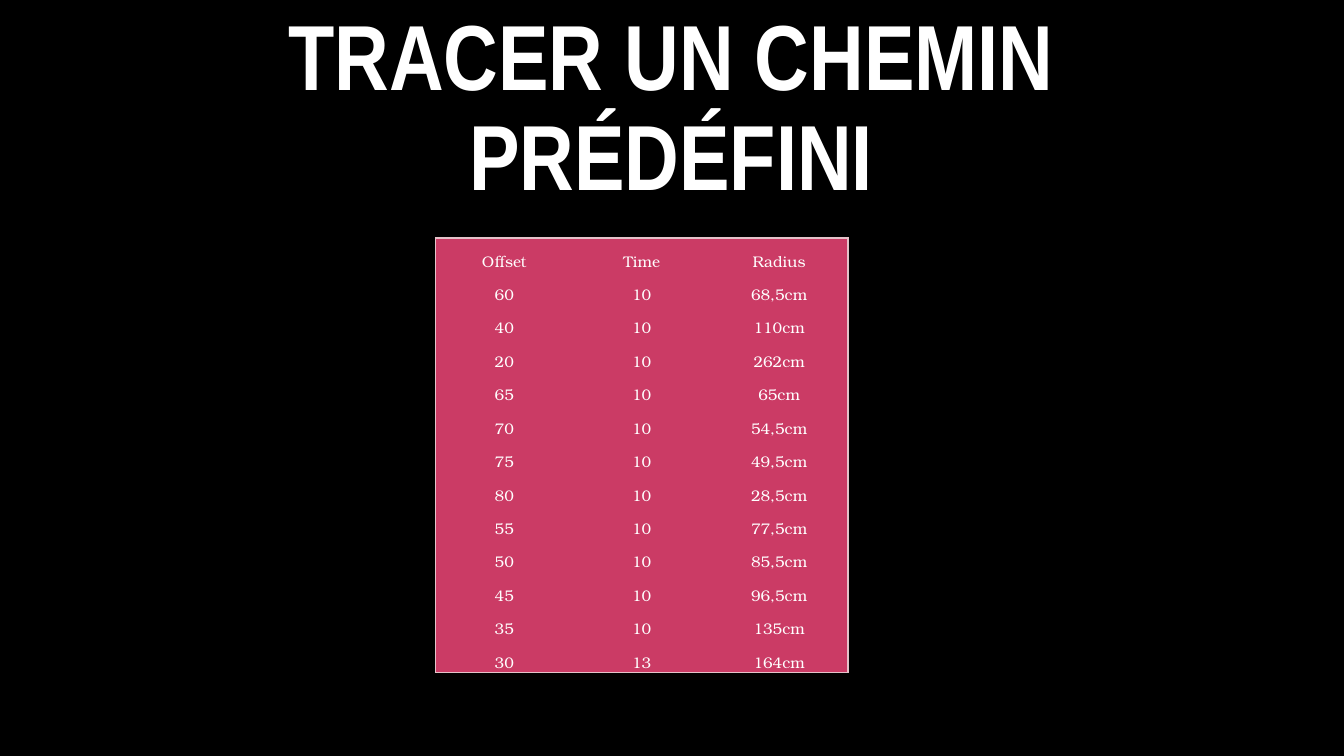
from lxml.etree import SubElement
from pptx import Presentation
from pptx.dml.color import RGBColor
from pptx.enum.text import MSO_ANCHOR, PP_ALIGN
from pptx.oxml.ns import qn
from pptx.util import Inches, Pt

BLACK = RGBColor(0x00, 0x00, 0x00)
WHITE = RGBColor(0xFF, 0xFF, 0xFF)
ROSE = RGBColor(0xCB, 0x3B, 0x65)
BLUSH = RGBColor(0xE4, 0xC2, 0xC9)

HEADS = ("Offset", "Time", "Radius")
STEPS = (
    ("60", "10", "68,5cm"),
    ("40", "10", "110cm"),
    ("20", "10", "262cm"),
    ("65", "10", "65cm"),
    ("70", "10", "54,5cm"),
    ("75", "10", "49,5cm"),
    ("80", "10", "28,5cm"),
    ("55", "10", "77,5cm"),
    ("50", "10", "85,5cm"),
    ("45", "10", "96,5cm"),
    ("35", "10", "135cm"),
    ("30", "13", "164cm"),
)


class Deck:
    title_font = "Arial Narrow"
    table_font = "TeX Gyre Bonum"

    def __init__(self):
        self.prs = Presentation()
        self.prs.slide_width = Inches(13.33)
        self.prs.slide_height = Inches(7.5)
        self.slide = self.prs.slides.add_slide(self.prs.slide_layouts[6])
        fill = self.slide.background.fill
        fill.solid()
        fill.fore_color.rgb = BLACK

    def across(self, share):
        return round(self.prs.slide_width * share / 100)

    def down(self, share):
        return round(self.prs.slide_height * share / 100)

    def label(self, frame, text, font, size, bold=False):
        para = frame.paragraphs[0]
        para.alignment = PP_ALIGN.CENTER
        run = para.add_run()
        run.text = text
        run.font.name = font
        run.font.size = Pt(size)
        run.font.bold = bold
        run.font.color.rgb = WHITE
        return para

    def title(self, text, left, top, width, height):
        box = self.slide.shapes.add_textbox(
            self.across(left), self.down(top), self.across(width), self.down(height))
        frame = box.text_frame
        frame.word_wrap = True
        frame.vertical_anchor = MSO_ANCHOR.BOTTOM
        para = self.label(frame, text, self.title_font, 66, True)
        para.line_spacing = 0.9

    def edge(self, cell, side, drawn):
        line = SubElement(cell._tc.get_or_add_tcPr(), qn(f"a:ln{side}"))
        line.set("w", str(Pt(1)))
        if drawn:
            paint = SubElement(line, qn("a:solidFill"))
            SubElement(paint, qn("a:srgbClr")).set("val", str(BLUSH))
        else:
            SubElement(line, qn("a:noFill"))

    def table(self, rows, left, top, col, row):
        high, wide = len(rows), len(rows[0])
        grid = self.slide.shapes.add_table(
            high, wide, self.across(left), self.down(top),
            self.across(col * wide), self.down(row * high)).table
        grid.first_row = grid.horz_banding = False
        for line in grid.rows:
            line.height = self.down(row)
        for y, line in enumerate(rows):
            for x, text in enumerate(line):
                cell = grid.cell(y, x)
                cell.margin_left = cell.margin_right = cell.margin_top = Inches(0.01)
                cell.margin_bottom = 0
                cell.vertical_anchor = MSO_ANCHOR.BOTTOM
                self.label(cell.text_frame, text, self.table_font, 11)
                self.edge(cell, "L", x == 0)
                self.edge(cell, "R", x == wide - 1)
                self.edge(cell, "T", y == 0)
                self.edge(cell, "B", y == high - 1)
                cell.fill.solid()
                cell.fill.fore_color.rgb = ROSE

    def save(self):
        self.prs.save("out.pptx")


def main():
    deck = Deck()
    deck.title("TRACER UN CHEMIN PRÉDÉFINI", 13.05, 0, 73.82, 28.53)
    deck.table((HEADS, *STEPS), 32.41, 31.47, 10.23, 4.42)
    deck.save()


if __name__ == "__main__":
    main()
